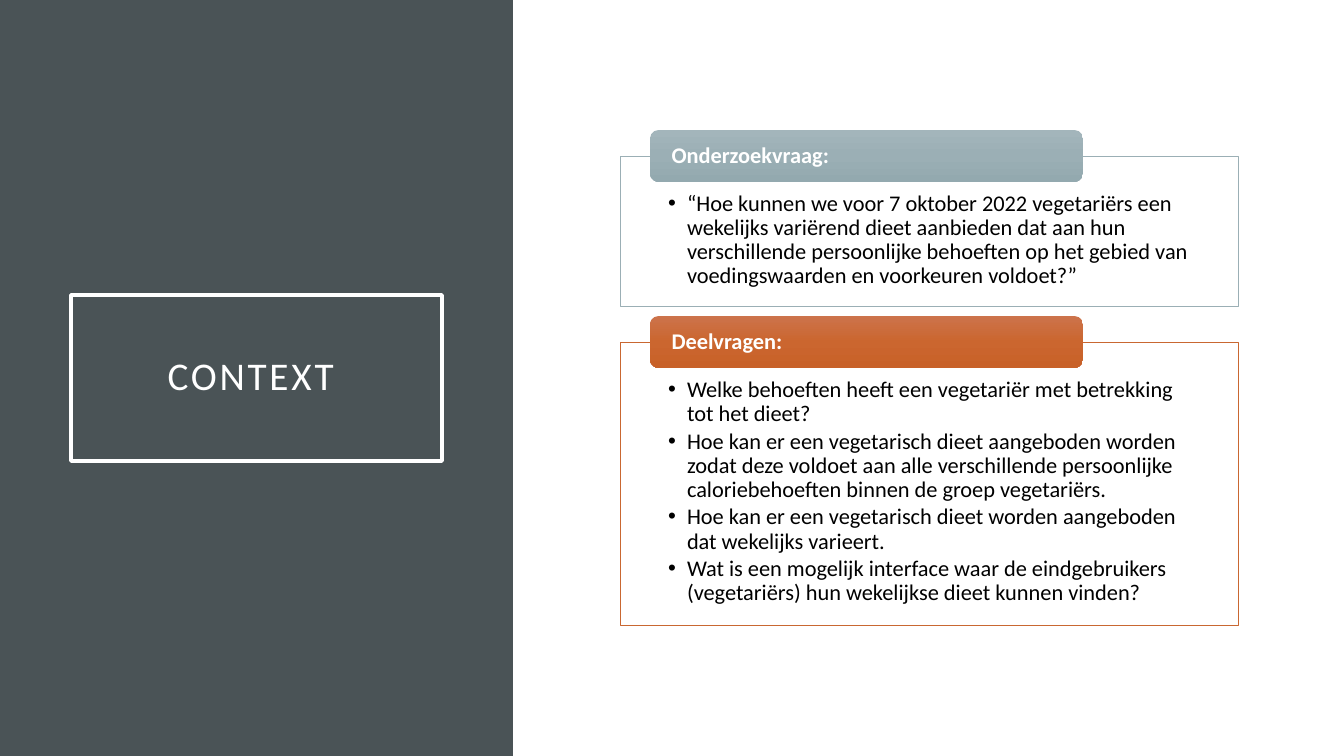
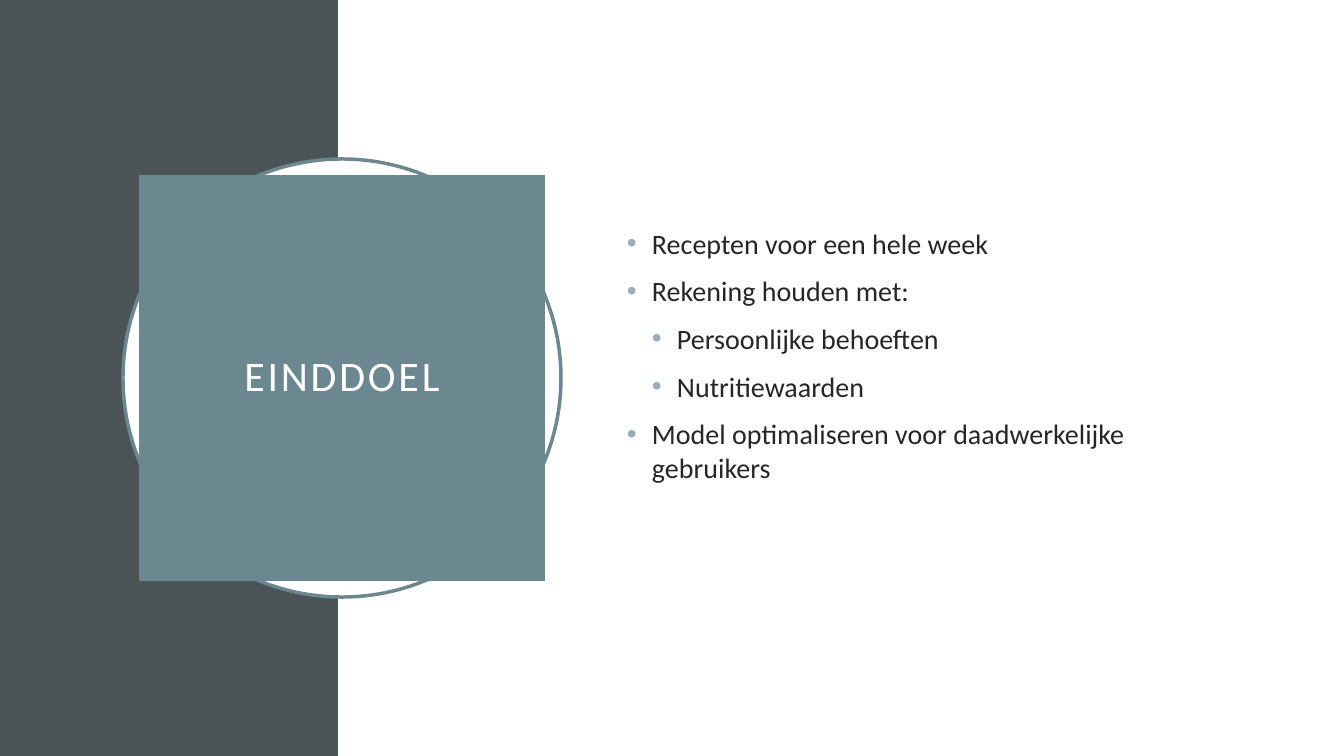
from copy import deepcopy

from lxml import etree
from pptx import Presentation
from pptx.dml.color import RGBColor
from pptx.enum.shapes import MSO_SHAPE
from pptx.enum.text import MSO_ANCHOR, PP_ALIGN
from pptx.oxml.ns import qn
from pptx.util import Emu, Pt

RECTANGLE = MSO_SHAPE.RECTANGLE
ROUNDED = MSO_SHAPE.ROUNDED_RECTANGLE
ELLIPSE = MSO_SHAPE.OVAL
TOP, MIDDLE = MSO_ANCHOR.TOP, MSO_ANCHOR.MIDDLE
LEFT, CENTER = PP_ALIGN.LEFT, PP_ALIGN.CENTER

EMU_PER_PX = 914400 / 100.8
SLIDE_WIDTH, SLIDE_HEIGHT = 1344, 756
FONT = "Calibri"
COLORS = {
    "white": "FFFFFF",
    "black": "000000",
    "text": "262626",
    "band": "4A5356",
    "teal": "6B8891",
    "mist": "9BAFB5",
    "rust": "C96731",
}
GRADIENTS = {
    "mist": ("A3B5BB", "9BAFB5", "93A9AF"),
    "rust": ("CC734B", "CB662F", "C86128"),
}


def px(length):
    return Emu(round(length * EMU_PER_PX))


def color(name):
    return RGBColor.from_string(COLORS[name])


class Deck:
    def __init__(self):
        self.presentation = Presentation()
        self.presentation.slide_width = px(SLIDE_WIDTH)
        self.presentation.slide_height = px(SLIDE_HEIGHT)
        self.slide = None

    def new_slide(self, band_width):
        """Start a slide with the dark band on its left."""
        self.slide = self.presentation.slides.add_slide(self.presentation.slide_layouts[6])
        self.shape(RECTANGLE, (0, 0, band_width, SLIDE_HEIGHT), fill="band")

    def shape(self, kind, box, fill=None, line=None, line_width=2.5):
        shape = self.slide.shapes.add_shape(kind, *map(px, box))
        shape.shadow.inherit = False
        if fill:
            shape.fill.solid()
            shape.fill.fore_color.rgb = color(fill)
        else:
            shape.fill.background()
        if line:
            shape.line.color.rgb = color(line)
            shape.line.width = Pt(line_width)
        else:
            shape.line.fill.background()
        return shape

    def frame(self, shape, insets, anchor):
        frame = shape.text_frame
        frame.word_wrap = True
        frame.vertical_anchor = anchor
        (frame.margin_left, frame.margin_top,
         frame.margin_right, frame.margin_bottom) = map(px, insets)
        return frame

    def add_text(self, paragraph, text, size, ink, align=LEFT, bold=False, tracking=0):
        paragraph.alignment = align
        run = paragraph.add_run()
        run.text = text
        run.font.name = FONT
        run.font.size = Pt(size)
        run.font.bold = bold
        run.font.color.rgb = color(ink)
        if tracking:
            run._r.get_or_add_rPr().set("spc", str(tracking * 100))

    def title(self, text, box, size, fill=None, line=None):
        shape = self.shape(RECTANGLE, box, fill, line)
        paragraph = self.frame(shape, (20, 20, 20, 20), MIDDLE).paragraphs[0]
        paragraph.line_spacing = 0.9
        self.add_text(paragraph, text, size, "white", CENTER, tracking=2)

    def bullets(self, frame, items, size, ink, indent, line_spacing=1.0,
                before=0, after=0, bullet_color=None):
        """Add (level, text) items as a bulleted list."""
        for index, (level, text) in enumerate(items):
            paragraph = frame.add_paragraph() if index else frame.paragraphs[0]
            paragraph.level = level
            paragraph.line_spacing = line_spacing
            paragraph.space_before = Pt(before)
            paragraph.space_after = Pt(after)
            self.add_text(paragraph, text, size, ink)
            properties = paragraph._p.get_or_add_pPr()
            properties.set("marL", str(px(indent * (level + 1))))
            properties.set("indent", str(-px(indent)))
            if bullet_color:
                holder = etree.SubElement(properties, qn("a:buClr"))
                etree.SubElement(holder, qn("a:srgbClr"), val=COLORS[bullet_color])
            etree.SubElement(properties, qn("a:buFont"), typeface="Arial")
            etree.SubElement(properties, qn("a:buChar"), char="•")

    def gradient(self, shape, stops):
        """Fill a shape from top to bottom with three colours."""
        shape.fill.gradient()
        shape.fill.gradient_angle = 270
        stop_list = shape._element.spPr.find(".//" + qn("a:gsLst"))
        stop_list.insert(1, deepcopy(stop_list[0]))
        for index, stop in enumerate(shape.fill.gradient_stops):
            stop.position = index / 2
            stop.color.rgb = RGBColor.from_string(stops[index])

    def card(self, heading, items, top, height, accent):
        """Outlined list with a heading tab across its top edge."""
        left, width, tab_height = 620, 618, 52
        box = self.shape(RECTANGLE, (left, top, width, height), "white", accent, 0.5)
        frame = self.frame(box, (48, 36, 48, 12), TOP)
        self.bullets(frame, [(0, item) for item in items], 16, "black", 19,
                     line_spacing=0.9, after=2.4)
        tab = self.shape(ROUNDED, (left + 30, top - tab_height // 2, 433, tab_height))
        self.gradient(tab, GRADIENTS[accent])
        paragraph = self.frame(tab, (19, 0, 19, 0), MIDDLE).paragraphs[0]
        paragraph.line_spacing = 0.9
        self.add_text(paragraph, heading, 16, "white", bold=True)


def context_slide(deck):
    deck.new_slide(513)
    deck.title("CONTEXT ", (71, 295, 371, 166), 28, line="white")
    deck.card("Onderzoekvraag:", [
        "“Hoe kunnen we voor 7 oktober 2022 vegetariërs een wekelijks variërend dieet "
        "aanbieden dat aan hun verschillende persoonlijke behoeften op het gebied van "
        "voedingswaarden en voorkeuren voldoet?”",
    ], 156, 150, "mist")
    deck.card("Deelvragen:", [
        "Welke behoeften heeft een vegetariër met betrekking tot het dieet?",
        "Hoe kan er een vegetarisch dieet aangeboden worden zodat deze voldoet aan alle "
        "verschillende persoonlijke caloriebehoeften binnen de groep vegetariërs.",
        "Hoe kan er een vegetarisch dieet worden aangeboden dat wekelijks varieert.",
        "Wat is een mogelijk interface waar de eindgebruikers (vegetariërs) hun "
        "wekelijkse dieet kunnen vinden?",
    ], 342, 283, "rust")


def goal_slide(deck):
    deck.new_slide(338)
    deck.shape(ELLIPSE, (123, 159, 438, 438), "white", "teal")
    deck.title("EINDDOEL", (139, 175, 406, 406), 30, fill="teal")
    body = deck.slide.shapes.add_textbox(*map(px, (617, 154, 587, 447)))
    frame = deck.frame(body, (10, 5, 10, 50), MIDDLE)
    deck.bullets(frame, [
        (0, "Recepten voor een hele week"),
        (0, "Rekening houden met:"),
        (1, "Persoonlijke behoeften"),
        (1, "Nutritiewaarden"),
        (0, "Model optimaliseren voor daadwerkelijke gebruikers"),
    ], 20, "text", 25, before=10, bullet_color="mist")


def main():
    deck = Deck()
    context_slide(deck)
    goal_slide(deck)
    deck.presentation.save("out.pptx")


if __name__ == "__main__":
    main()
